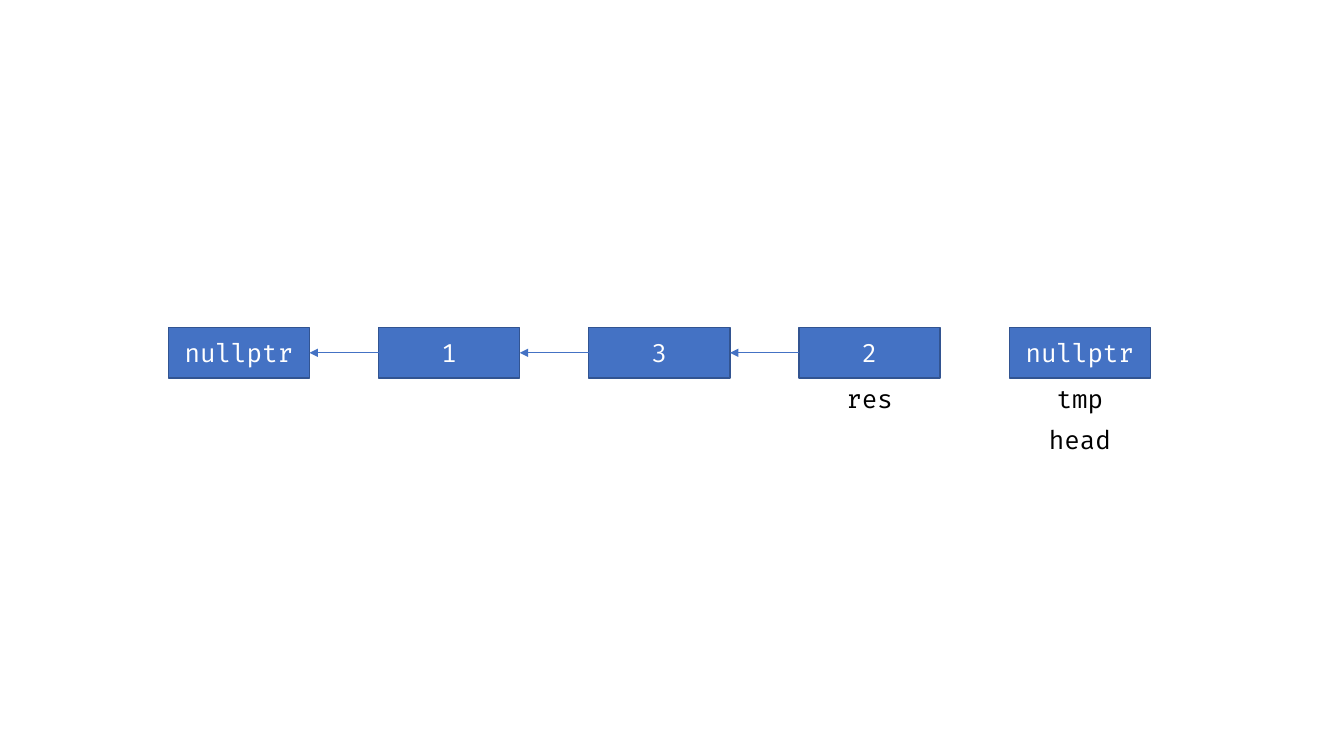
from dataclasses import dataclass

from lxml.etree import SubElement
from pptx import Presentation
from pptx.dml.color import RGBColor
from pptx.enum.shapes import MSO_CONNECTOR, MSO_SHAPE
from pptx.enum.text import MSO_ANCHOR, MSO_AUTO_SIZE, PP_ALIGN
from pptx.oxml.ns import qn
from pptx.shapes.autoshape import Shape
from pptx.slide import Slide
from pptx.text.text import TextFrame
from pptx.util import Inches, Pt

BLUE = RGBColor(0x44, 0x72, 0xC4)
DARK_BLUE = RGBColor(0x32, 0x54, 0x91)
WHITE = RGBColor(0xFF, 0xFF, 0xFF)
BLACK = RGBColor(0x00, 0x00, 0x00)

FONT = "Fira Code"
FONT_SIZE = Pt(18)

# Layout in inches
FIRST_LEFT, LAST_LEFT = 1.67, 10.01
NODE_TOP, NODE_WIDTH, NODE_HEIGHT = 3.25, 1.4, 0.5
LABEL_HEIGHT, LABEL_PITCH = 0.4, 0.41

# Connection sites of a rectangle
LEFT_SITE, RIGHT_SITE = 1, 3


@dataclass(frozen=True)
class Node:
    value: str
    pointers: tuple[str, ...] = ()
    links_back: bool = False


NODES = [
    Node("nullptr"),
    Node("1", links_back=True),
    Node("3", links_back=True),
    Node("2", pointers=("res",), links_back=True),
    Node("nullptr", pointers=("tmp", "head")),
]


def write_text(frame: TextFrame, text: str, color: RGBColor) -> None:
    frame.word_wrap = True
    para = frame.paragraphs[0]
    para.text = text
    para.alignment = PP_ALIGN.CENTER
    para.font.name = FONT
    para.font.size = FONT_SIZE
    para.font.color.rgb = color


def draw_node(page: Slide, node: Node, left: float) -> Shape:
    box = page.shapes.add_shape(
        MSO_SHAPE.RECTANGLE,
        Inches(left), Inches(NODE_TOP), Inches(NODE_WIDTH), Inches(NODE_HEIGHT),
    )
    box.shadow.inherit = False
    box.fill.solid()
    box.fill.fore_color.rgb = BLUE
    box.line.color.rgb = DARK_BLUE
    box.line.width = Pt(1)
    box.text_frame.vertical_anchor = MSO_ANCHOR.MIDDLE
    write_text(box.text_frame, node.value, WHITE)
    return box


def draw_pointer(page: Slide, name: str, left: float, row: int) -> None:
    top = NODE_TOP + NODE_HEIGHT + row * LABEL_PITCH
    label = page.shapes.add_textbox(
        Inches(left), Inches(top), Inches(NODE_WIDTH), Inches(LABEL_HEIGHT)
    )
    label.text_frame.auto_size = MSO_AUTO_SIZE.SHAPE_TO_FIT_TEXT
    write_text(label.text_frame, name, BLACK)


def draw_link(page: Slide, source: Shape, target: Shape) -> None:
    link = page.shapes.add_connector(MSO_CONNECTOR.STRAIGHT, 0, 0, 0, 0)
    link.begin_connect(source, LEFT_SITE)
    link.end_connect(target, RIGHT_SITE)
    link.line.color.rgb = BLUE
    link.line.width = Pt(0.5)
    # Arrowhead at the target, no shadow
    SubElement(link.line._get_or_add_ln(), qn("a:tailEnd"), type="triangle")
    SubElement(link._element.spPr, qn("a:effectLst"))


def main() -> None:
    deck = Presentation()
    deck.slide_width = Inches(13.33)
    deck.slide_height = Inches(7.5)
    page = deck.slides.add_slide(deck.slide_layouts[6])

    # List nodes, evenly spaced
    pitch = (LAST_LEFT - FIRST_LEFT) / (len(NODES) - 1)
    lefts = [FIRST_LEFT + index * pitch for index in range(len(NODES))]
    boxes = [draw_node(page, node, left) for node, left in zip(NODES, lefts)]

    # Pointer names below the nodes
    for node, left in zip(NODES, lefts):
        for row, name in enumerate(node.pointers):
            draw_pointer(page, name, left, row)

    # Reversed links, each to the node before
    for node, source, target in zip(NODES[1:], boxes[1:], boxes):
        if node.links_back:
            draw_link(page, source, target)

    deck.save("out.pptx")


if __name__ == "__main__":
    main()
